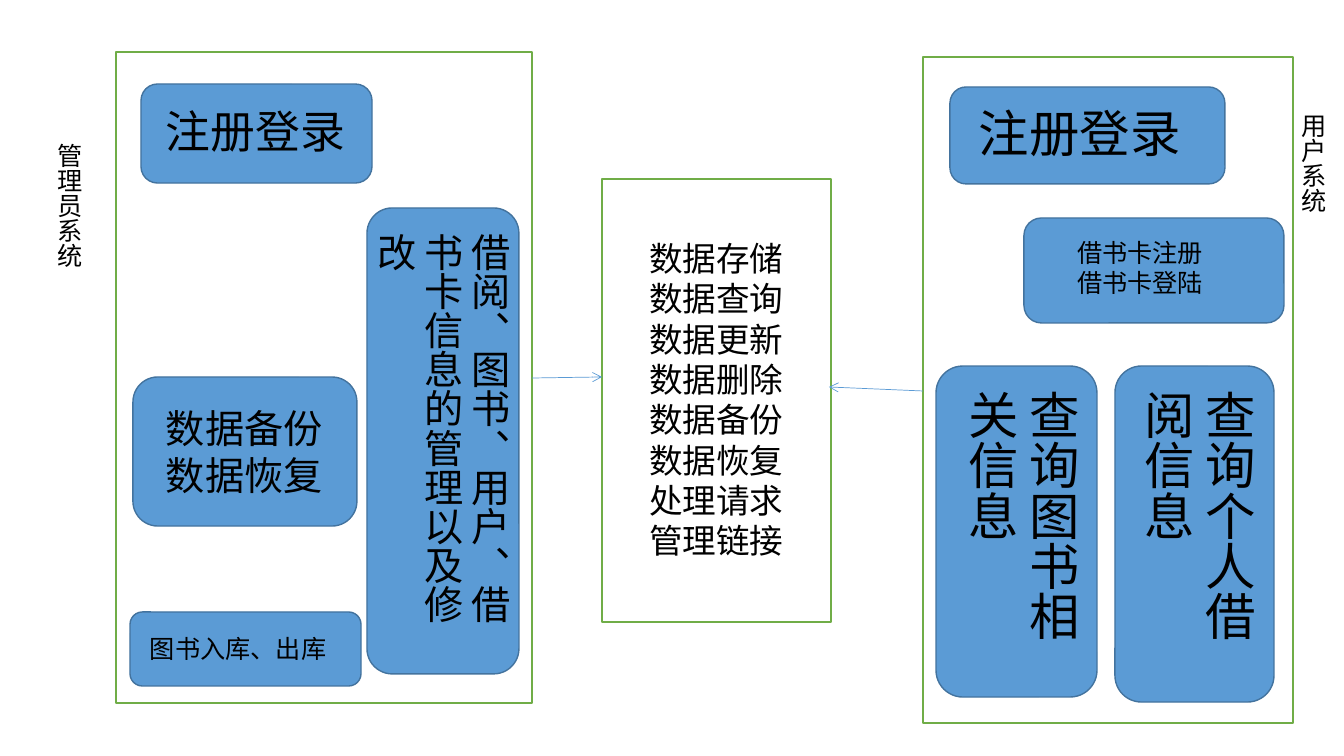
from dataclasses import dataclass

from lxml import etree
from pptx import Presentation
from pptx import util as u
from pptx.dml.color import RGBColor
from pptx.enum import shapes, text
from pptx.oxml import ns

SCALE = 914400 / 100.8  # EMU per pixel


@dataclass(frozen=True)
class Theme:
    font: str = "Calibri"
    ink: str = "000000"
    panel_fill: str = "FFFFFF"
    panel_line: str = "70AD47"
    card_fill: str = "5B9BD5"
    card_line: str = "43739E"
    arrow: str = "5B9BD5"
    small: int = 18
    medium: int = 24
    large: int = 28
    login: int = 32
    huge: int = 36
    border: float = 1
    thin: float = 0.5


THEME = Theme()


def px(*lengths):
    return [u.Emu(round(length * SCALE)) for length in lengths]


def color(code):
    return RGBColor.from_string(code)


def add_box(slide, preset, area, fill, line):
    box = slide.shapes.add_shape(preset, *px(*area))
    box.shadow.inherit = False
    box.fill.solid()
    box.fill.fore_color.rgb = color(fill)
    box.line.color.rgb = color(line)
    box.line.width = u.Pt(THEME.border)


def add_panel(slide, area):
    add_box(slide, shapes.MSO_SHAPE.RECTANGLE, area, THEME.panel_fill, THEME.panel_line)


def add_label(slide, area, lines, size, vertical=False, indent=0):
    label = slide.shapes.add_textbox(*px(*area))
    frame = label.text_frame
    frame.word_wrap = True
    frame.auto_size = text.MSO_AUTO_SIZE.SHAPE_TO_FIT_TEXT
    frame.margin_left += px(indent)[0]
    if vertical:
        frame._txBody.bodyPr.set("vert", "eaVert")
    frame.text = "\n".join(lines)
    for paragraph in frame.paragraphs:
        for run in paragraph.runs:
            run.font.name = THEME.font
            run.font.size = u.Pt(size)
            run.font.color.rgb = color(THEME.ink)


def add_card(slide, area, label_area, lines, size, vertical=False, indent=0):
    add_box(slide, shapes.MSO_SHAPE.ROUNDED_RECTANGLE, area,
            THEME.card_fill, THEME.card_line)
    add_label(slide, label_area, lines, size, vertical, indent)


def add_arrow(slide, start, end):
    arrow = slide.shapes.add_connector(shapes.MSO_CONNECTOR.STRAIGHT, *px(*start, *end))
    arrow.line.color.rgb = color(THEME.arrow)
    arrow.line.width = u.Pt(THEME.thin)
    etree.SubElement(arrow.line._get_or_add_ln(), ns.qn("a:tailEnd"), type="arrow")
    etree.SubElement(arrow._element.spPr, ns.qn("a:effectLst"))


def add_admin_system(slide):
    add_panel(slide, (116, 52, 416, 651))
    add_card(slide, (141, 84, 231, 99), (156, 99, 205, 65), ["注册登录"], THEME.login)
    add_card(slide, (367, 208, 152, 466), (356, 223, 162, 435),
             ["借阅、图书、用户、借书卡信息的管理以及修改"], THEME.large, vertical=True)
    add_card(slide, (133, 377, 224, 149), (156, 399, 196, 105),
             ["数据备份", "数据恢复"], THEME.large)
    add_card(slide, (130, 612, 231, 74), (140, 628, 212, 40),
             ["图书入库、出库"], THEME.small)
    add_label(slide, (7, 133, 82, 532), ["管理员系统"], THEME.small, vertical=True)


def add_data_service(slide):
    add_panel(slide, (602, 179, 229, 443))
    services = ["数据存储", "数据查询", "数据更新", "数据删除",
                "数据备份", "数据恢复", "处理请求", "管理链接"]
    add_label(slide, (631, 233, 171, 336), services, THEME.medium, indent=8)


def add_user_system(slide):
    add_panel(slide, (923, 57, 370, 666))
    add_card(slide, (950, 87, 275, 97), (969, 97, 245, 72), ["注册登录"], THEME.huge)
    add_card(slide, (1024, 218, 260, 105), (1039, 232, 231, 72),
             ["借书卡注册", "借书卡登陆"], THEME.small, indent=28)
    add_card(slide, (1115, 366, 159, 336), (1122, 380, 142, 306),
             ["查询个人借阅信息"], THEME.huge, vertical=True)
    add_card(slide, (936, 366, 161, 331), (946, 380, 142, 297),
             ["查询图书相关信息"], THEME.huge, vertical=True)
    add_label(slide, (1283, 103, 50, 415), ["用户系统"], THEME.small, vertical=True)


def main():
    deck = Presentation()
    deck.slide_width, deck.slide_height = px(1344, 756)
    slide = deck.slides.add_slide(deck.slide_layouts.get_by_name("Blank"))

    # The two systems and the data service between them
    add_admin_system(slide)
    add_data_service(slide)
    add_user_system(slide)

    # Requests from both systems to the data service
    add_arrow(slide, (532, 378), (602, 377))
    add_arrow(slide, (923, 391), (829, 387))

    deck.save("out.pptx")


main()
